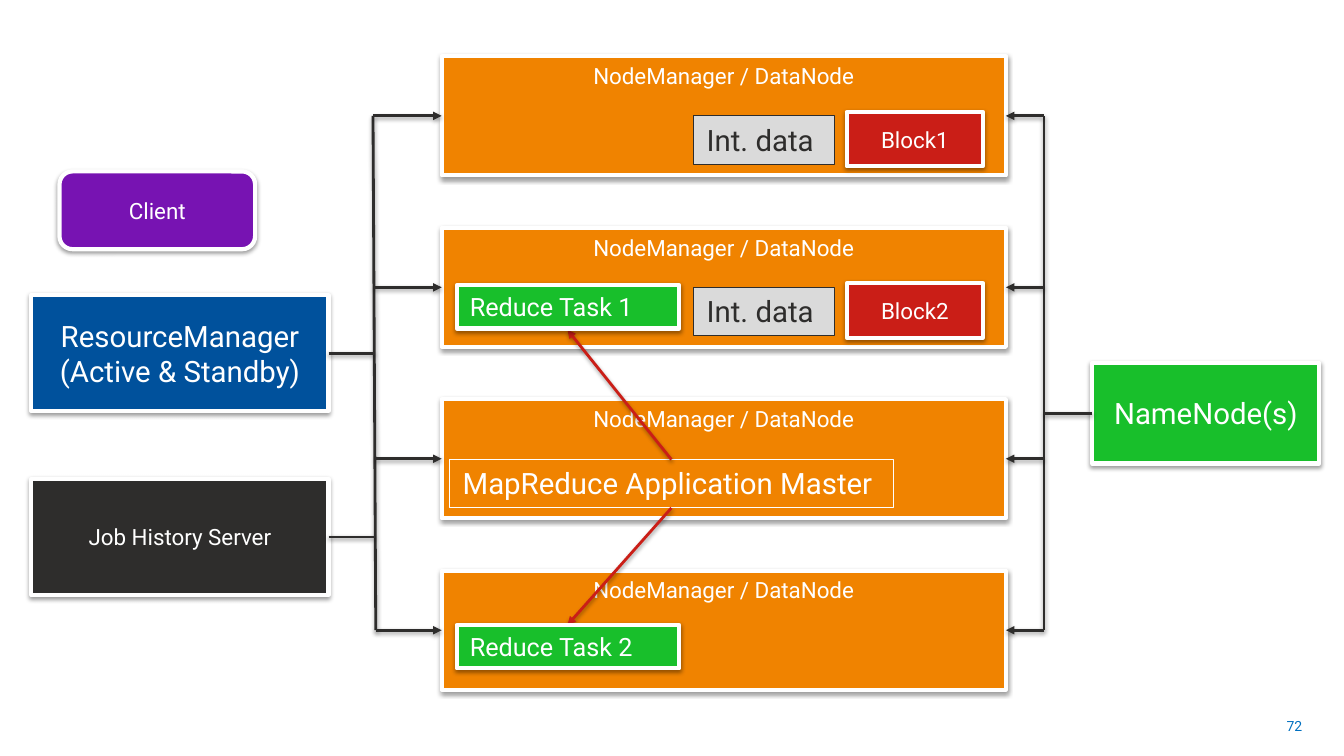
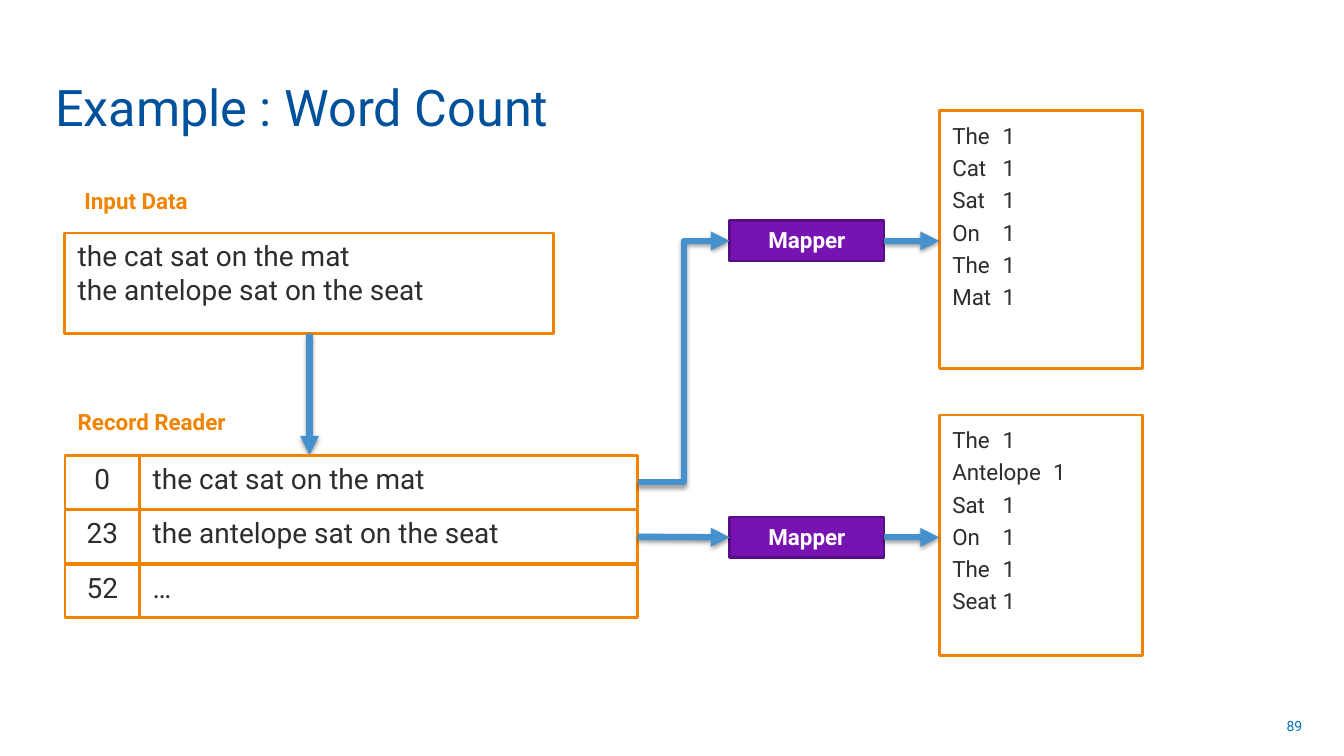
from dataclasses import dataclass
from typing import NamedTuple, Optional

from lxml.etree import SubElement
from pptx import Presentation
from pptx.dml.color import RGBColor
from pptx.enum.shapes import MSO_CONNECTOR, MSO_SHAPE
from pptx.enum.text import MSO_ANCHOR, PP_ALIGN
from pptx.oxml.ns import qn
from pptx.slide import Slide
from pptx.text.text import TextFrame
from pptx.util import Cm, Pt


@dataclass(frozen=True)
class Theme:
    font: str = "Roboto"
    white: str = "FFFFFF"
    ink: str = "2E2D2C"
    navy: str = "00519C"
    page_blue: str = "0070C0"
    flow_blue: str = "4591CE"
    orange: str = "F08300"
    green: str = "18BF2B"
    red: str = "CA1E17"
    purple: str = "7713B2"
    deep_purple: str = "580E84"
    grey: str = "DADADA"
    title_size: float = 36
    heading_size: float = 21
    record_size: float = 20
    task_size: float = 18
    label_size: float = 16
    page_size: float = 10
    card_border: float = 3
    border: float = 2
    hairline: float = 0.75
    flow_width: float = 4.5


THEME = Theme()


class Box(NamedTuple):
    left: float
    top: float
    width: float
    height: float

    @property
    def right(self) -> float:
        return self.left + self.width

    @property
    def middle(self) -> float:
        return self.top + self.height / 2


class Point(NamedTuple):
    x: float
    y: float


@dataclass(frozen=True)
class Card:
    box: Box
    text: str
    fill: str
    size: float = THEME.label_size
    rounded: bool = False


@dataclass(frozen=True)
class MapStep:
    mapper: Box
    counts: Box
    words: tuple[str, ...]


def write_text(frame: TextFrame, text: str, *, size: float = THEME.label_size,
               color: str = THEME.ink, bold: bool = False,
               align: PP_ALIGN = PP_ALIGN.LEFT,
               anchor: MSO_ANCHOR = MSO_ANCHOR.TOP,
               spacing: Optional[float] = None,
               inset: tuple[float, float] = (0.33, 0.15)) -> None:
    frame.word_wrap = True
    frame.vertical_anchor = anchor
    frame.margin_left = frame.margin_right = Cm(inset[0])
    frame.margin_top = frame.margin_bottom = Cm(inset[1])
    for index, line in enumerate(text.split("\n")):
        paragraph = frame.add_paragraph() if index else frame.paragraphs[0]
        paragraph.alignment = align
        if spacing:
            paragraph.line_spacing = spacing
        run = paragraph.add_run()
        run.text = line
        run.font.name = THEME.font
        run.font.size = Pt(size)
        run.font.bold = bold
        run.font.color.rgb = RGBColor.from_string(color)


def add_shadow(effects) -> None:
    shadow = SubElement(effects, qn("a:outerShdw"), blurRad="40000",
                        dist="20000", dir="5400000", rotWithShape="0")
    black = SubElement(shadow, qn("a:srgbClr"), val="000000")
    SubElement(black, qn("a:alpha"), val="38000")


def add_label(slide: Slide, box: Box, text: str, **text_format) -> None:
    label = slide.shapes.add_textbox(*map(Cm, box))
    write_text(label.text_frame, text, **text_format)


def add_panel(slide: Slide, box: Box, text: str, *, fill: Optional[str] = THEME.white,
              line: str = THEME.orange, line_width: float = THEME.border,
              rounded: bool = False, raised: bool = False, **text_format) -> None:
    outline = MSO_SHAPE.ROUNDED_RECTANGLE if rounded else MSO_SHAPE.RECTANGLE
    panel = slide.shapes.add_shape(outline, *map(Cm, box))
    panel.shadow.inherit = False
    if raised:
        add_shadow(panel.element.spPr.find(qn("a:effectLst")))
    if fill:
        panel.fill.solid()
        panel.fill.fore_color.rgb = RGBColor.from_string(fill)
    else:
        panel.fill.background()
    panel.line.color.rgb = RGBColor.from_string(line)
    panel.line.width = Pt(line_width)
    write_text(panel.text_frame, text, **text_format)


def add_card(slide: Slide, card: Card, *, align: PP_ALIGN = PP_ALIGN.CENTER,
             anchor: MSO_ANCHOR = MSO_ANCHOR.MIDDLE) -> None:
    add_panel(slide, card.box, card.text, fill=card.fill, line=THEME.white,
              line_width=THEME.card_border, rounded=card.rounded, raised=True,
              size=card.size, color=THEME.white, align=align, anchor=anchor)


def add_link(slide: Slide, start: Point, end: Point, *, color: str = THEME.ink,
             width: float = THEME.border, arrow: bool = True,
             bent: bool = False) -> None:
    route = MSO_CONNECTOR.ELBOW if bent else MSO_CONNECTOR.STRAIGHT
    link = slide.shapes.add_connector(route, *map(Cm, (*start, *end)))
    link.line.color.rgb = RGBColor.from_string(color)
    link.line.width = Pt(width)
    properties = link.element.spPr
    if arrow:
        SubElement(properties.find(qn("a:ln")), qn("a:tailEnd"), type="triangle")
    add_shadow(SubElement(properties, qn("a:effectLst")))


def add_flow(slide: Slide, start: Point, end: Point, bent: bool = False) -> None:
    add_link(slide, start, end, color=THEME.flow_blue, width=THEME.flow_width, bent=bent)


def new_slide(deck, number: str) -> Slide:
    slide = deck.slides.add_slide(deck.slide_layouts[6])
    add_label(slide, Box(25.17, 17.78, 7.9, 1.02), number, size=THEME.page_size,
              color=THEME.page_blue, align=PP_ALIGN.RIGHT,
              anchor=MSO_ANCHOR.MIDDLE, inset=(0.25, 0.13))
    return slide


def build_cluster(deck) -> None:
    slide = new_slide(deck, "72")
    manager = Box(0.79, 7.44, 7.49, 2.92)
    history = Box(0.79, 12.07, 7.49, 2.92)
    name_node = Box(27.53, 9.14, 5.72, 2.54)
    workers = [Box(11.13, 1.42 + 4.32 * row, 14.22, 3) for row in range(4)]

    for card in (
        Card(manager, "ResourceManager (Active & Standby)", THEME.navy, THEME.heading_size),
        Card(history, "Job History Server", THEME.ink),
        Card(name_node, "NameNode(s)", THEME.green, THEME.heading_size),
        Card(Box(1.5, 4.32, 4.93, 1.96), "Client", THEME.purple, rounded=True),
    ):
        add_card(slide, card)
    for worker in workers:
        add_card(slide, Card(worker, "NodeManager / DataNode", THEME.orange),
                 anchor=MSO_ANCHOR.TOP)

    first, last = workers[0].middle, workers[-1].middle
    left_top, left_bottom, right_trunk = 9.4, 9.47, 26.31
    add_link(slide, Point(left_top, first), Point(left_bottom, last), arrow=False)
    add_link(slide, Point(right_trunk, last), Point(right_trunk, first), arrow=False)
    for server in (manager, history):
        add_link(slide, Point(server.right, server.middle),
                 Point(9.45, server.middle), arrow=False)
    add_link(slide, Point(name_node.left, name_node.middle),
             Point(right_trunk, name_node.middle), arrow=False)
    for worker in workers:
        progress = (worker.middle - first) / (last - first)
        branch = left_top + (left_bottom - left_top) * progress
        add_link(slide, Point(branch, worker.middle), Point(worker.left, worker.middle))
        add_link(slide, Point(right_trunk, worker.middle),
                 Point(worker.right, worker.middle))

    for number, worker in enumerate(workers[:2], start=1):
        add_card(slide, Card(Box(21.34, worker.top + 1.4, 3.43, 1.37),
                             f"Block{number}", THEME.red))
        add_panel(slide, Box(17.48, worker.top + 1.5, 3.56, 1.22), "Int. data",
                  fill=THEME.grey, line=THEME.ink, line_width=THEME.hairline,
                  size=THEME.heading_size)

    master = Box(11.33, 11.58, 11.18, 1.22)
    add_panel(slide, master, "MapReduce Application Master", fill=None,
              line=THEME.white, line_width=THEME.hairline,
              size=THEME.heading_size, color=THEME.white)
    task_centre = 14.3
    for number, task_top, launch_y, arrive_y in (
        (1, 7.19, master.top, 8.31),
        (2, 15.75, master.top + master.height, 15.75),
    ):
        add_link(slide, Point(master.middle + 4.73, launch_y),
                 Point(task_centre, arrive_y), color=THEME.red)
        add_card(slide, Card(Box(11.51, task_top, 5.61, 1.09), f"Reduce Task {number}",
                             THEME.green, THEME.task_size),
                 align=PP_ALIGN.LEFT, anchor=MSO_ANCHOR.TOP)


def build_word_count(deck) -> None:
    slide = new_slide(deck, "89")
    add_label(slide, Box(1.14, 0.36, 25.35, 3.2), "Example : Word Count",
              size=THEME.title_size, color=THEME.navy, anchor=MSO_ANCHOR.BOTTOM,
              inset=(0.25, 0.13))
    for box, heading in ((Box(1.8, 4.57, 5.44, 1.02), "Input Data"),
                         (Box(1.63, 10.13, 7.09, 1.02), "Record Reader")):
        add_label(slide, box, heading, color=THEME.orange, bold=True)

    sentences = ("the cat sat on the mat", "the antelope sat on the seat")
    add_panel(slide, Box(1.63, 5.87, 12.32, 2.54), "\n".join(sentences),
              size=THEME.record_size)
    add_flow(slide, Point(7.8, 8.41), Point(7.8, 11.46))

    records = []
    for row, (offset, sentence) in enumerate(zip(("0", "23", "52"), (*sentences, "…"))):
        top = 11.48 + 1.37 * row
        record = Box(3.52, top, 12.55, 1.35)
        add_panel(slide, Box(1.64, top, 1.88, 1.35), offset,
                  size=THEME.record_size, align=PP_ALIGN.CENTER)
        add_panel(slide, record, sentence, size=THEME.record_size)
        records.append(record)

    steps = (
        MapStep(Box(18.39, 5.56, 3.89, 1.02), Box(23.67, 2.79, 5.13, 6.5),
                ("The", "Cat", "Sat", "On", "The", "Mat")),
        MapStep(Box(18.39, 13.03, 3.89, 1.02), Box(23.67, 10.46, 5.13, 6.05),
                ("The", "Antelope", "Sat", "On", "The", "Seat")),
    )
    for index, (record, step) in enumerate(zip(records, steps)):
        mapper = step.mapper
        add_panel(slide, mapper, "Mapper", fill=THEME.purple, line=THEME.deep_purple,
                  color=THEME.white, bold=True, align=PP_ALIGN.CENTER)
        add_panel(slide, step.counts, "\n".join(f"{word}\t1" for word in step.words),
                  spacing=1.2)
        add_flow(slide, Point(record.right, record.middle),
                 Point(mapper.left, mapper.middle), bent=index == 0)
        add_flow(slide, Point(mapper.right, mapper.middle),
                 Point(step.counts.left, mapper.middle))


def main() -> None:
    deck = Presentation()
    deck.slide_width, deck.slide_height = Cm(33.87), Cm(19.05)
    build_cluster(deck)
    build_word_count(deck)
    deck.save("out.pptx")


if __name__ == "__main__":
    main()
